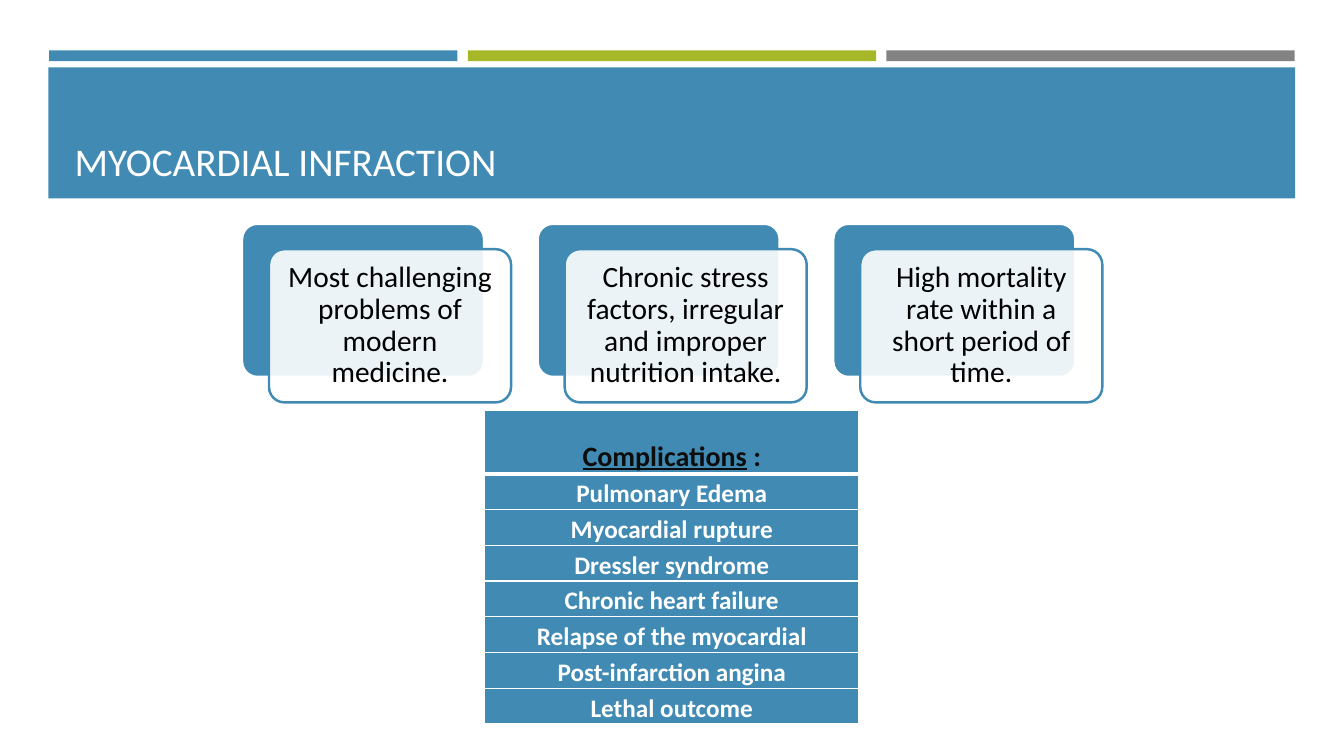
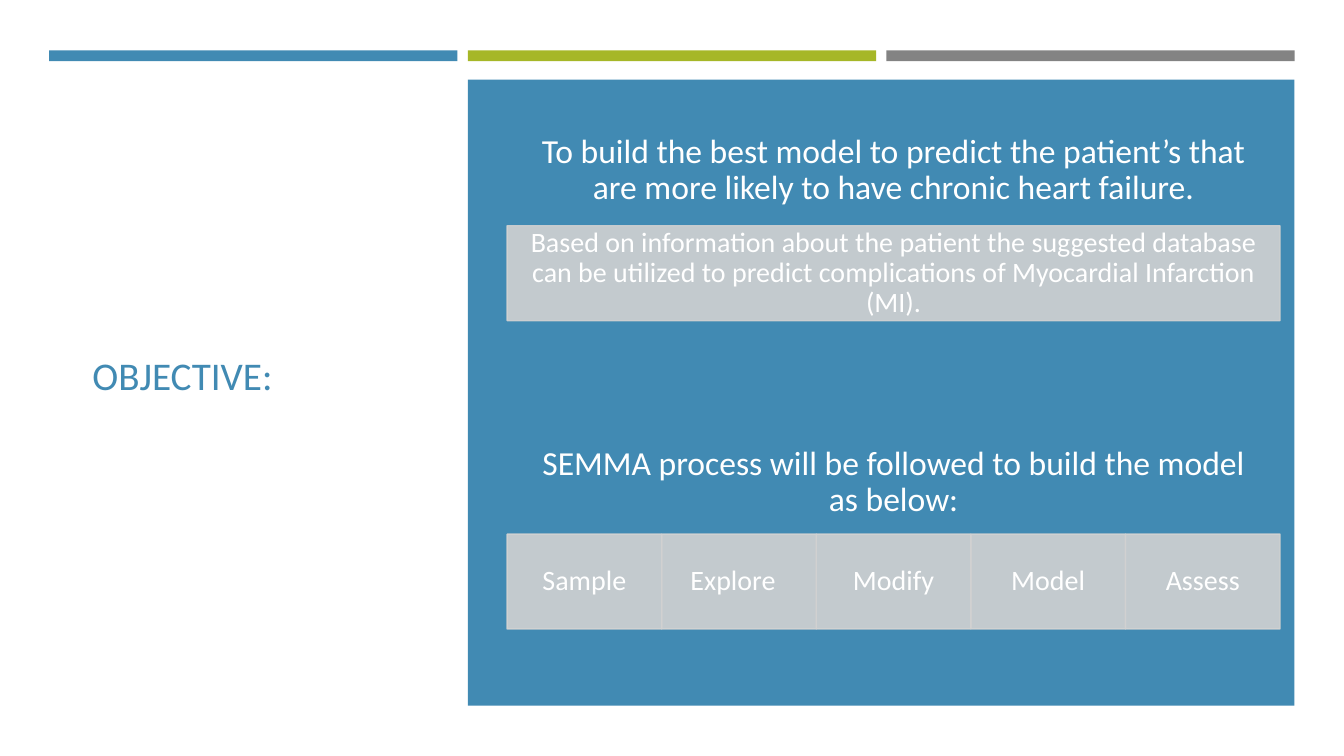
"""Builds two slides on myocardial infarction: the problem and the objective."""
from dataclasses import dataclass
from typing import Optional

from lxml import etree
from pptx import Presentation
from pptx import util as u
from pptx.dml.color import RGBColor
from pptx.enum import shapes, text
from pptx.oxml import ns

COLORS = {
    "blue": "418AB3",
    "green": "A6B727",
    "gray": "838383",
    "light": "D2D2D2",
    "ink": "0D0D0D",
    "black": "000000",
    "white": "FFFFFF",
}
FONT = "Calibri"
RECT = shapes.MSO_SHAPE.RECTANGLE
ROUND = shapes.MSO_SHAPE.ROUNDED_RECTANGLE
MIDDLE = text.MSO_ANCHOR.MIDDLE
BOTTOM = text.MSO_ANCHOR.BOTTOM
CENTER = text.PP_ALIGN.CENTER

CARDS = [
    "Most challenging problems of modern medicine.",
    "Chronic stress factors, irregular and improper nutrition intake.",
    "High mortality rate within a short period of time.",
]
COMPLICATIONS = [
    "Pulmonary Edema",
    "Myocardial rupture",
    "Dressler syndrome",
    "Chronic heart failure",
    "Relapse of the myocardial",
    "Post-infarction angina",
    "Lethal outcome",
]
STEPS = ["Sample", "Explore", "Modify", "Model", "Assess"]


@dataclass(frozen=True)
class Box:
    """Position and size in centimetres."""
    x: float
    y: float
    w: float
    h: float

    def emu(self) -> tuple:
        """Return the box as lengths."""
        return u.Cm(self.x), u.Cm(self.y), u.Cm(self.w), u.Cm(self.h)


@dataclass(frozen=True)
class Look:
    """Fill and outline of a shape."""
    fill: str
    line: Optional[str] = None
    width: float = 1
    kind: int = RECT
    fill_alpha: int = 100
    line_alpha: int = 100


@dataclass(frozen=True)
class TextStyle:
    """Size, colour and placement of a text."""
    size: float
    color: str
    anchor: int = MIDDLE
    align: Optional[int] = CENTER
    spacing: float = 0.9
    inset_x: float = 0.25
    inset_y: float = 0.13


PLAIN = Look("blue")
CARD_BACK = Look("blue", "white", 1.75, ROUND)
CARD_FRONT = Look("white", "blue", 1.75, ROUND, fill_alpha=90)
TILE = Look("light", "light", fill_alpha=90, line_alpha=90)

BAND_TITLE = TextStyle(28, "white", BOTTOM, None, 1)
SIDE_TITLE = TextStyle(28, "blue", MIDDLE, None, 1)
CARD_TEXT = TextStyle(21, "black", inset_x=0.23, inset_y=0.23)
HEADING = TextStyle(24, "white", inset_x=0.48, inset_y=0.48)
TILE_TEXT = TextStyle(20, "white", inset_x=0.41, inset_y=0.08)


def rgb(name: str) -> RGBColor:
    """Look up a colour by name."""
    return RGBColor.from_string(COLORS[name])


def apply(obj, formats: dict) -> None:
    """Set every attribute in formats on obj."""
    for name, value in formats.items():
        setattr(obj, name, value)


def add_run(p, content: str, size: float, color: str, **extra) -> None:
    """Append a formatted run to a paragraph."""
    r = p.add_run()
    r.text = content
    apply(r.font, {"name": FONT, "size": u.Pt(size), **extra})
    r.font.color.rgb = rgb(color)


def write(sp, content: str, style: TextStyle) -> None:
    """Write one paragraph into a shape or text box."""
    tf = sp.text_frame
    apply(tf, {
        "word_wrap": True,
        "vertical_anchor": style.anchor,
        "margin_left": u.Cm(style.inset_x),
        "margin_right": u.Cm(style.inset_x),
        "margin_top": u.Cm(style.inset_y),
        "margin_bottom": u.Cm(style.inset_y),
    })
    p = tf.paragraphs[0]
    apply(p, {"alignment": style.align, "line_spacing": style.spacing})
    add_run(p, content, style.size, style.color)


def add_text(s, box: Box, content: str, style: TextStyle) -> None:
    """Add a text box."""
    write(s.shapes.add_textbox(*box.emu()), content, style)


def set_alpha(sp, query: str, percent: int) -> None:
    """Make the colours found by the query partly transparent."""
    for color in sp._element.spPr.xpath(query):
        alpha = etree.SubElement(color, ns.qn("a:alpha"))
        alpha.set("val", str(percent * 1000))


def add_box(s, box: Box, look: Look):
    """Add a preset shape with the given look."""
    sp = s.shapes.add_shape(look.kind, *box.emu())
    sp.shadow.inherit = False
    sp.fill.solid()
    sp.fill.fore_color.rgb = rgb(look.fill)
    if look.kind == ROUND:
        sp.adjustments[0] = 0.1
    if look.line:
        sp.line.color.rgb = rgb(look.line)
        sp.line.width = u.Pt(look.width)
    else:
        sp.line.fill.background()
    if look.fill_alpha < 100:
        set_alpha(sp, "a:solidFill/a:srgbClr", look.fill_alpha)
    if look.line_alpha < 100:
        set_alpha(sp, "a:ln/a:solidFill/a:srgbClr", look.line_alpha)
    return sp


def new_slide(prs):
    """Add a blank slide with the three top bars."""
    s = prs.slides.add_slide(prs.slide_layouts[6])
    for i, color in enumerate(("blue", "green", "gray")):
        add_box(s, Box(1.24 + i * 10.55, 1.27, 10.29, 0.27), Look(color))
    return s


def add_border(cell, side: str, width: float) -> None:
    """Draw a white border on one side of a cell."""
    ln = etree.SubElement(cell._tc.get_or_add_tcPr(), ns.qn(f"a:{side}"))
    ln.set("w", str(u.Pt(width)))
    fill = etree.SubElement(ln, ns.qn("a:solidFill"))
    etree.SubElement(fill, ns.qn("a:srgbClr")).set("val", COLORS["white"])


def format_cell(cell, top: float, bottom: float):
    """Set borders, fill and margins of a cell and return its paragraph."""
    for side, width in {"lnL": 1, "lnR": 1, "lnT": top, "lnB": bottom}.items():
        add_border(cell, side, width)
    cell.fill.solid()
    cell.fill.fore_color.rgb = rgb("blue")
    apply(cell, {
        "vertical_anchor": BOTTOM,
        "margin_left": u.Cm(0.15),
        "margin_right": u.Cm(0.15),
        "margin_top": 0,
        "margin_bottom": 0,
    })
    p = cell.text_frame.paragraphs[0]
    p.alignment = CENTER
    return p


def add_complications(s, box: Box, header_height: float) -> None:
    """Add the one-column table of complications."""
    count = len(COMPLICATIONS)
    table = s.shapes.add_table(count + 1, 1, *box.emu()).table
    apply(table, {"first_row": False, "horz_banding": False})
    table.rows[0].height = u.Cm(header_height)
    p = format_cell(table.cell(0, 0), 1, 3)
    add_run(p, "Complications", 20, "ink", bold=True, underline=True)
    add_run(p, " :", 20, "ink", bold=True)
    for i, name in enumerate(COMPLICATIONS, 1):
        table.rows[i].height = u.Cm((box.h - header_height) / count)
        p = format_cell(table.cell(i, 0), 3 if i == 1 else 1, 1)
        add_run(p, name, 18, "white", bold=True)


def build_problem(prs) -> None:
    """Build the slide on the disease and its complications."""
    s = new_slide(prs)
    add_box(s, Box(1.22, 1.7, 31.42, 3.3), PLAIN)
    add_text(s, Box(1.63, 1.96, 30.63, 2.82), "MYOCARDIAL INFRACTION", BAND_TITLE)
    for i, content in enumerate(CARDS):
        x = 6.1 + i * 7.45
        add_box(s, Box(x, 5.64, 6.1, 3.86), CARD_BACK)
        sp = add_box(s, Box(x + 0.68, 6.28, 6.1, 3.86), CARD_FRONT)
        write(sp, content, CARD_TEXT)
    add_complications(s, Box(12.22, 10.34, 9.42, 7.9), 1.6)


def build_objective(prs) -> None:
    """Build the slide on the objective and the process steps."""
    s = new_slide(prs)
    add_text(s, Box(2.08, 2.9, 8.48, 13.08), "OBJECTIVE:", SIDE_TITLE)
    add_box(s, Box(11.79, 2.01, 20.83, 15.77), PLAIN)
    left, width, height = 12.78, 19.48, 2.39
    add_text(s, Box(left, 2.9, width, 2.79),
             "To build the best model to predict the patient’s that are more "
             "likely to have chronic heart failure.", HEADING)
    sp = add_box(s, Box(left, 5.69, width, height), TILE)
    write(sp, "Based on information about the patient the suggested database can "
              "be utilized to predict complications of Myocardial Infarction (MI).",
          TILE_TEXT)
    add_text(s, Box(left, 10.77, width, 2.79),
             "SEMMA process will be followed to build the model as below:", HEADING)
    step = width / len(STEPS)
    for i, name in enumerate(STEPS):
        sp = add_box(s, Box(left + i * step, 13.46, step, height), TILE)
        write(sp, name, TILE_TEXT)
        if name == "Explore":
            sp.text_frame.margin_right = u.Cm(0.71)


def main() -> None:
    """Build and save the presentation."""
    prs = Presentation()
    apply(prs, {"slide_width": u.Cm(33.87), "slide_height": u.Cm(19.05)})
    build_problem(prs)
    build_objective(prs)
    prs.save("out.pptx")


if __name__ == "__main__":
    main()
